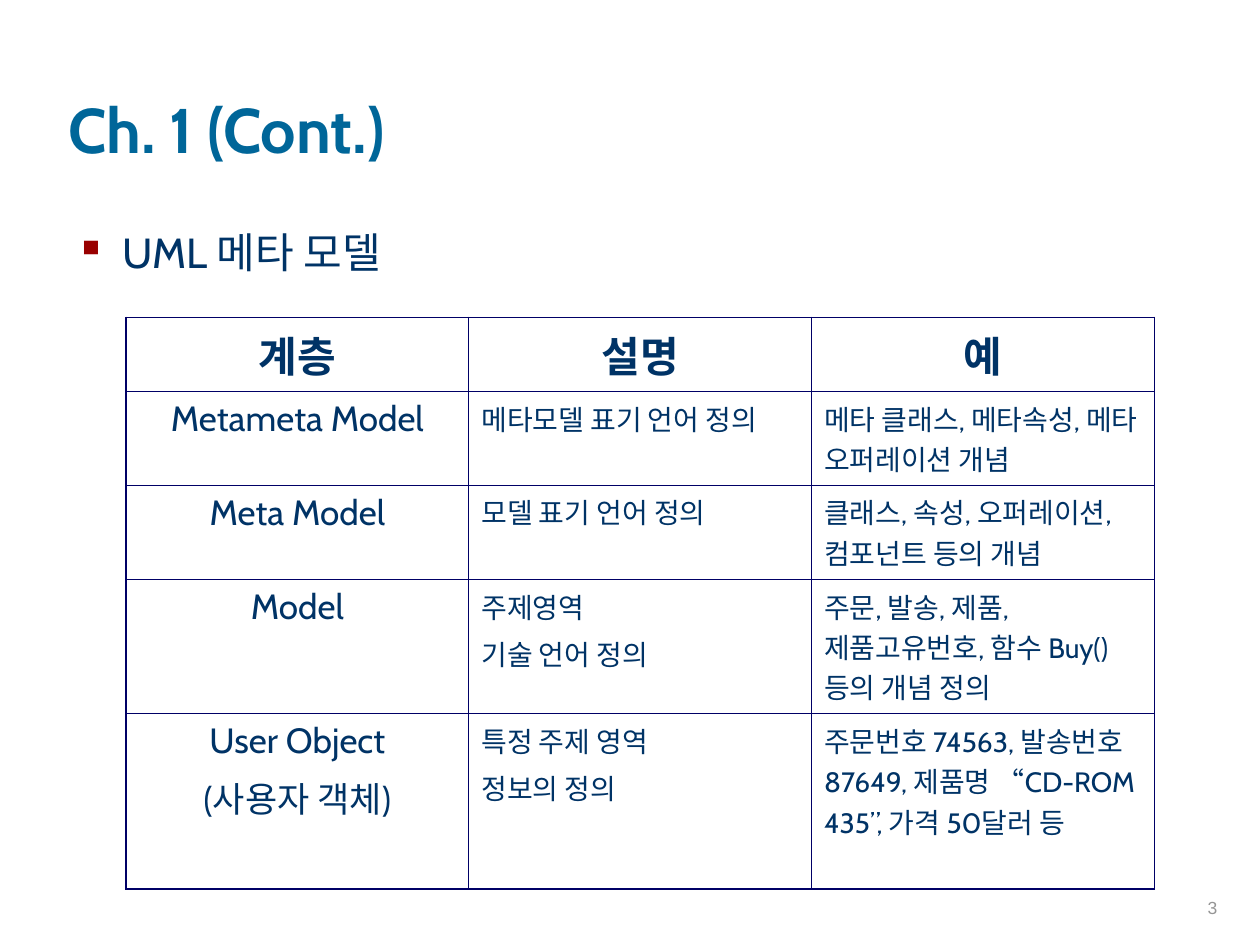
from dataclasses import dataclass

from lxml.etree import SubElement
from pptx import Presentation
from pptx.dml.color import RGBColor as Rgb
from pptx.enum.text import MSO_ANCHOR as Anchor, PP_ALIGN as Align
from pptx.oxml.ns import qn
from pptx.util import Cm, Pt


@dataclass(frozen=True)
class Theme:
    font: str = "Cabin"
    number_font: str = "Arial"
    title: str = "006699"
    text: str = "003366"
    bullet: str = "990000"
    border: str = "000066"
    number: str = "969696"
    title_size: int = 36
    heading_size: int = 24
    layer_size: int = 20
    detail_size: int = 16
    number_size: int = 10
    outer_line: float = 1.08
    inner_line: float = 0.45


theme = Theme()


def write(frame, text, size, color=theme.text, font=theme.font, bold=False,
          align=Align.LEFT, anchor=Anchor.TOP, gap=0, bullet=None):
    """Fill a text frame, one paragraph per line of text."""
    frame.word_wrap = True
    frame.vertical_anchor = anchor
    for i, line in enumerate(text.split("\n")):
        para = frame.paragraphs[0] if i == 0 else frame.add_paragraph()
        para.alignment = align
        para.space_before = Pt(gap if i else 0)
        if bullet:
            props = para._p.get_or_add_pPr()
            props.set("marL", str(Cm(0.95)))
            props.set("indent", str(-Cm(0.95)))
            bullet_color = SubElement(props, qn("a:buClr"))
            SubElement(bullet_color, qn("a:srgbClr"), val=theme.bullet)
            SubElement(props, qn("a:buChar"), char=bullet)
        run = para.add_run()
        run.text = line
        run.font.name = font
        run.font.size = Pt(size)
        run.font.bold = bold
        run.font.color.rgb = Rgb.from_string(color)


def draw_border(cell, side, width):
    line = SubElement(cell._tc.get_or_add_tcPr(), qn(f"a:ln{side}"), w=str(Pt(width)))
    fill = SubElement(line, qn("a:solidFill"))
    SubElement(fill, qn("a:srgbClr"), val=theme.border)


deck = Presentation()
deck.slide_width, deck.slide_height = Cm(25.4), Cm(19.05)
slide = deck.slides.add_slide(deck.slide_layouts[5])

# Title
title = slide.shapes.title
title.left, title.top, title.width, title.height = Cm(1.12), Cm(0.3), Cm(21.59), Cm(3.18)
write(title.text_frame, "Ch. 1 (Cont.)", theme.title_size, color=theme.title,
      bold=True, anchor=Anchor.BOTTOM)

# Topic
topic = slide.shapes.add_textbox(Cm(1.27), Cm(4.45), Cm(11.15), Cm(12.4))
write(topic.text_frame, "UML 메타 모델", theme.heading_size, bullet="▪")

# Table of the metamodel layers
layers = [
    ("계층", "설명", "예"),
    ("Metameta Model", "메타모델 표기 언어 정의", "메타 클래스, 메타속성, 메타 오퍼레이션 개념"),
    ("Meta Model", "모델 표기 언어 정의", "클래스, 속성, 오퍼레이션, 컴포넌트 등의 개념"),
    ("Model", "주제영역\n기술 언어 정의",
     "주문, 발송, 제품, 제품고유번호, 함수 Buy() 등의 개념 정의"),
    ("User Object\n(사용자 객체)", "특정 주제 영역\n정보의 정의",
     "주문번호 74563, 발송번호 87649, 제품명 “CD-ROM 435”, 가격 50달러 등"),
]
row_heights = [1.49, 1.89, 1.9, 2.71, 3.53]
last_row, last_col = len(layers) - 1, len(layers[0]) - 1

table = slide.shapes.add_table(len(layers), len(layers[0]), Cm(2.54), Cm(6.4),
                               Cm(20.73), Cm(sum(row_heights))).table
table.first_row = table.horz_banding = False
for column in table.columns:
    column.width = Cm(6.91)

for r, (layer, height) in enumerate(zip(layers, row_heights)):
    table.rows[r].height = Cm(height)
    for c, text in enumerate(layer):
        cell = table.cell(r, c)
        outer = {"L": c == 0, "R": c == last_col, "T": r == 0, "B": r == last_row}
        for side, is_outer in outer.items():
            draw_border(cell, side, theme.outer_line if is_outer else theme.inner_line)
        cell.fill.background()
        if r == 0:
            size = theme.heading_size
        else:
            size = theme.detail_size if c else theme.layer_size
        write(cell.text_frame, text, size, bold=r == 0, gap=size / 4,
              align=Align.CENTER if r == 0 or c == 0 else Align.LEFT)

# Slide number
number = slide.shapes.add_textbox(Cm(19.51), Cm(17.37), Cm(5.28), Cm(1.27))
write(number.text_frame, "3", theme.number_size, color=theme.number,
      font=theme.number_font, align=Align.RIGHT, anchor=Anchor.BOTTOM)

deck.save("out.pptx")
